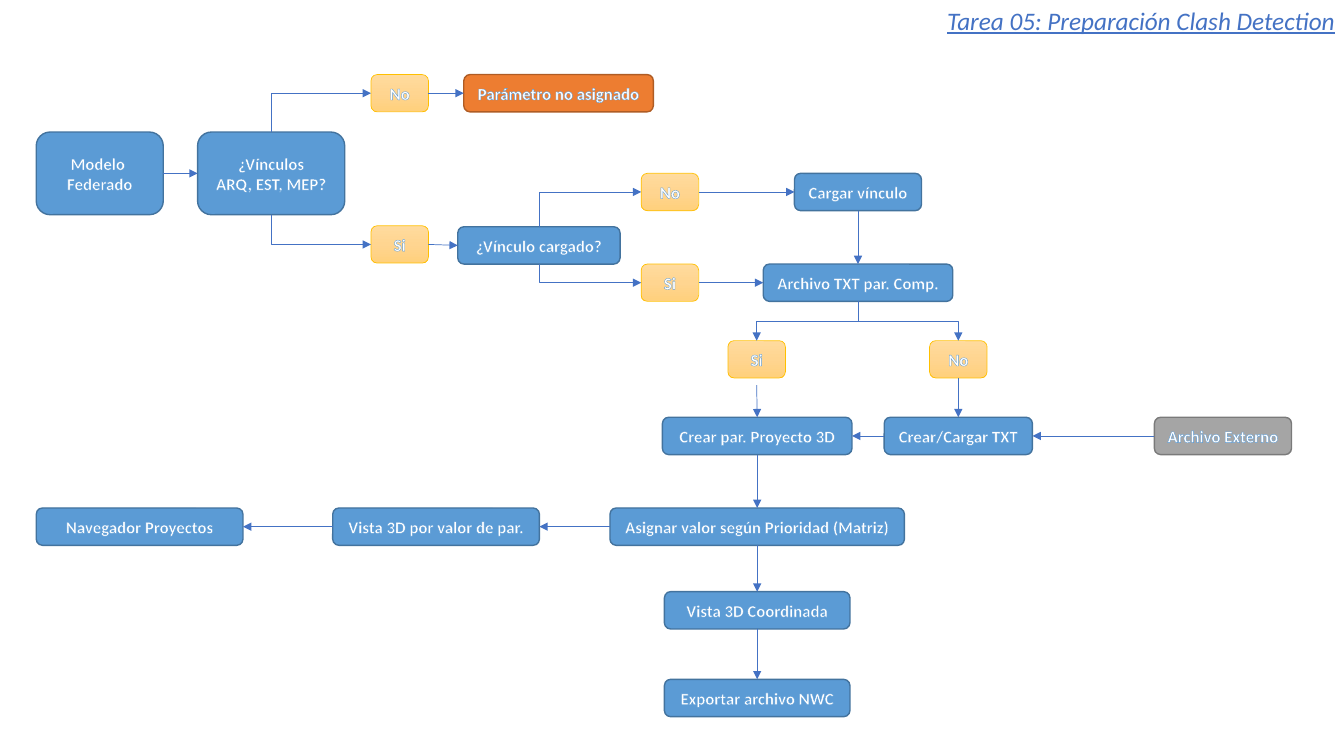
"""Build the clash detection preparation flowchart slide."""
from copy import deepcopy
from dataclasses import dataclass

from lxml import etree
from pptx import Presentation
from pptx.dml.color import RGBColor
from pptx.enum.shapes import MSO_CONNECTOR as CONN, MSO_SHAPE as SHAPE
from pptx.enum.text import MSO_ANCHOR as ANCHOR, MSO_AUTO_SIZE as AUTO, PP_ALIGN as ALIGN
from pptx.oxml.ns import qn
from pptx.util import Inches, Pt

COLORS = {
    "step": "5B9BD5", "step_line": "43739E",
    "alert": "ED7D31", "alert_line": "AF5C24",
    "external": "A5A5A5", "external_line": "7A7A7A",
    "answer_line": "FFC000",
    "answer_0": "FFDB9E", "answer_50": "FFD590", "answer_100": "FFD07C",
    "text": "FFFFFF", "text_outline": "5B9BD5", "accent": "4472C4",
}
FONT = "Calibri"
TOP, LEFT, BOTTOM, RIGHT = range(4)


@dataclass
class Box:
    key: str
    text: str
    x: float
    y: float
    w: float
    h: float = 0.37
    style: str = "step"


@dataclass
class Answer(Box):
    w: float = 0.57
    style: str = "answer"


@dataclass
class Link:
    start: str
    end: str
    start_side: int = RIGHT
    end_side: int = LEFT
    bend: str = ""
    gap: float = 0


BOXES = [
    Box("model", "Modelo \nFederado", 0.36, 1.31, 1.26, 0.82),
    Box("links", "¿Vínculos\nARQ, EST, MEP?", 1.96, 1.31, 1.46, 0.82),
    Answer("links_no", "No", 3.68, 0.74),
    Answer("links_yes", "Si", 3.68, 2.24),
    Box("unassigned", "Parámetro no asignado", 4.6, 0.74, 1.88, style="alert"),
    Box("txt", "Archivo TXT par. Comp.", 7.57, 2.62, 1.88),
    Answer("txt_no", "No", 9.22, 3.38),
    Answer("txt_yes", "Si", 7.22, 3.38),
    Box("create_par", "Crear par. Proyecto 3D", 6.57, 4.14, 1.88),
    Box("create_txt", "Crear/Cargar TXT", 8.77, 4.14, 1.47),
    Box("loaded", "¿Vínculo cargado?", 4.54, 2.25, 1.61),
    Box("load", "Cargar vínculo", 7.88, 1.72, 1.26),
    Answer("loaded_no", "No", 6.36, 1.72),
    Answer("loaded_yes", "Si", 6.36, 2.62),
    Box("assign", "Asignar valor según Prioridad (Matriz)", 6.05, 5.04, 2.92),
    Box("view", "Vista 3D Coordinada", 6.59, 5.87, 1.84),
    Box("view_by_value", "Vista 3D por valor de par.", 3.3, 5.04, 2.05),
    Box("browser", "Navegador Proyectos", 0.36, 5.04, 2.05),
    Box("external", "Archivo Externo", 11.45, 4.14, 1.36, style="external"),
    Box("export", "Exportar archivo NWC", 6.59, 6.74, 1.84),
]

LINKS = [
    Link("model", "links"),
    Link("links", "links_no", TOP, LEFT, "bentConnector2"),
    Link("links", "links_yes", BOTTOM, LEFT, "bentConnector2"),
    Link("links_no", "unassigned"),
    Link("links_yes", "loaded"),
    Link("loaded", "loaded_no", TOP, LEFT, "bentConnector2"),
    Link("loaded", "loaded_yes", BOTTOM, LEFT, "bentConnector2"),
    Link("loaded_no", "load"),
    Link("loaded_yes", "txt"),
    Link("load", "txt", BOTTOM, TOP),
    Link("txt", "txt_no", BOTTOM, TOP, "bentConnector3"),
    Link("txt", "txt_yes", BOTTOM, TOP, "bentConnector3"),
    Link("txt_no", "create_txt", BOTTOM, TOP),
    Link("txt_yes", "create_par", BOTTOM, TOP, gap=0.07),
    Link("create_par", "assign", BOTTOM, TOP),
    Link("assign", "view", BOTTOM, TOP),
    Link("view", "export", BOTTOM, TOP),
    Link("assign", "view_by_value", LEFT, RIGHT),
    Link("view_by_value", "browser", LEFT, RIGHT),
    Link("create_txt", "create_par", LEFT, RIGHT),
    Link("external", "create_txt", LEFT, RIGHT),
]


def rgb(name: str) -> RGBColor:
    return RGBColor.from_string(COLORS[name])


def fill_answer(sp) -> None:
    sp.fill.gradient()
    sp.fill.gradient_angle = 270
    stops = sp._element.spPr.find(".//" + qn("a:gsLst"))
    stops.append(deepcopy(stops[0]))
    for stop, percent in zip(sp.fill.gradient_stops, (0, 50, 100)):
        stop.position = percent / 100
        stop.color.rgb = rgb(f"answer_{percent}")


def outline_text(font) -> None:
    ln = etree.Element(qn("a:ln"), w=str(Pt(0.8)))
    fill = etree.SubElement(ln, qn("a:solidFill"))
    etree.SubElement(fill, qn("a:srgbClr"), val=COLORS["text_outline"])
    font._element.insert(0, ln)


def draw_box(s, box: Box):
    sp = s.shapes.add_shape(SHAPE.ROUNDED_RECTANGLE, Inches(box.x), Inches(box.y),
                            Inches(box.w), Inches(box.h))
    sp.shadow.inherit = False
    if box.style == "answer":
        fill_answer(sp)
    else:
        sp.fill.solid()
        sp.fill.fore_color.rgb = rgb(box.style)
    sp.line.color.rgb = rgb(box.style + "_line")
    sp.line.width = Pt(0.5 if box.style == "answer" else 1)
    tf = sp.text_frame
    tf.text = box.text
    tf.word_wrap = False
    tf.vertical_anchor = ANCHOR.MIDDLE
    for p in tf.paragraphs:
        p.alignment = ALIGN.CENTER
        for r in p.runs:
            f = r.font
            f.name, f.size, f.bold = FONT, Pt(12), True
            f.color.rgb = rgb("text")
            outline_text(f)
    return sp


def bend_connector(c, preset: str) -> None:
    """Turn an elbow a quarter so that it leaves vertically."""
    mid_x, mid_y = (c.begin_x + c.end_x) // 2, (c.begin_y + c.end_y) // 2
    half_x, half_y = (c.end_x - c.begin_x) // 2, (c.end_y - c.begin_y) // 2
    c.begin_x, c.begin_y = mid_x - half_y, mid_y + half_x
    c.end_x, c.end_y = mid_x + half_y, mid_y - half_x
    sp_pr = c._element.spPr
    sp_pr.find(qn("a:xfrm")).set("rot", "5400000")
    sp_pr.find(qn("a:prstGeom")).set("prst", preset)


def draw_link(s, link: Link, shapes: dict) -> None:
    kind = CONN.ELBOW if link.bend else CONN.STRAIGHT
    start = shapes[link.start]
    x = start.left + start.width // 2
    y = start.top + start.height + Inches(link.gap)
    c = s.shapes.add_connector(kind, x, y, x, y)
    if not link.gap:
        c.begin_connect(start, link.start_side)
    c.end_connect(shapes[link.end], link.end_side)
    if link.bend:
        bend_connector(c, link.bend)
    c.line.color.rgb = rgb("accent")
    c.line.width = Pt(0.5)
    etree.SubElement(c.line._get_or_add_ln(), qn("a:tailEnd"), type="triangle")
    etree.SubElement(c._element.spPr, qn("a:effectLst"))


def draw_title(s, text: str) -> None:
    tf = s.shapes.add_textbox(Inches(9.14), 0, Inches(4.2), Inches(0.4)).text_frame
    tf.text = text
    tf.word_wrap = True
    tf.auto_size = AUTO.SHAPE_TO_FIT_TEXT
    p = tf.paragraphs[0]
    p.alignment = ALIGN.RIGHT
    f = p.runs[0].font
    f.name, f.size, f.italic, f.underline = FONT, Pt(18), True, True
    f.color.rgb = rgb("accent")


prs = Presentation()
prs.slide_width, prs.slide_height = Inches(13.33), Inches(7.5)
s = prs.slides.add_slide(prs.slide_layouts[6])
shapes = {box.key: draw_box(s, box) for box in BOXES}
for link in LINKS:
    draw_link(s, link, shapes)
draw_title(s, "Tarea 05: Preparación Clash Detection")
prs.save("out.pptx")
